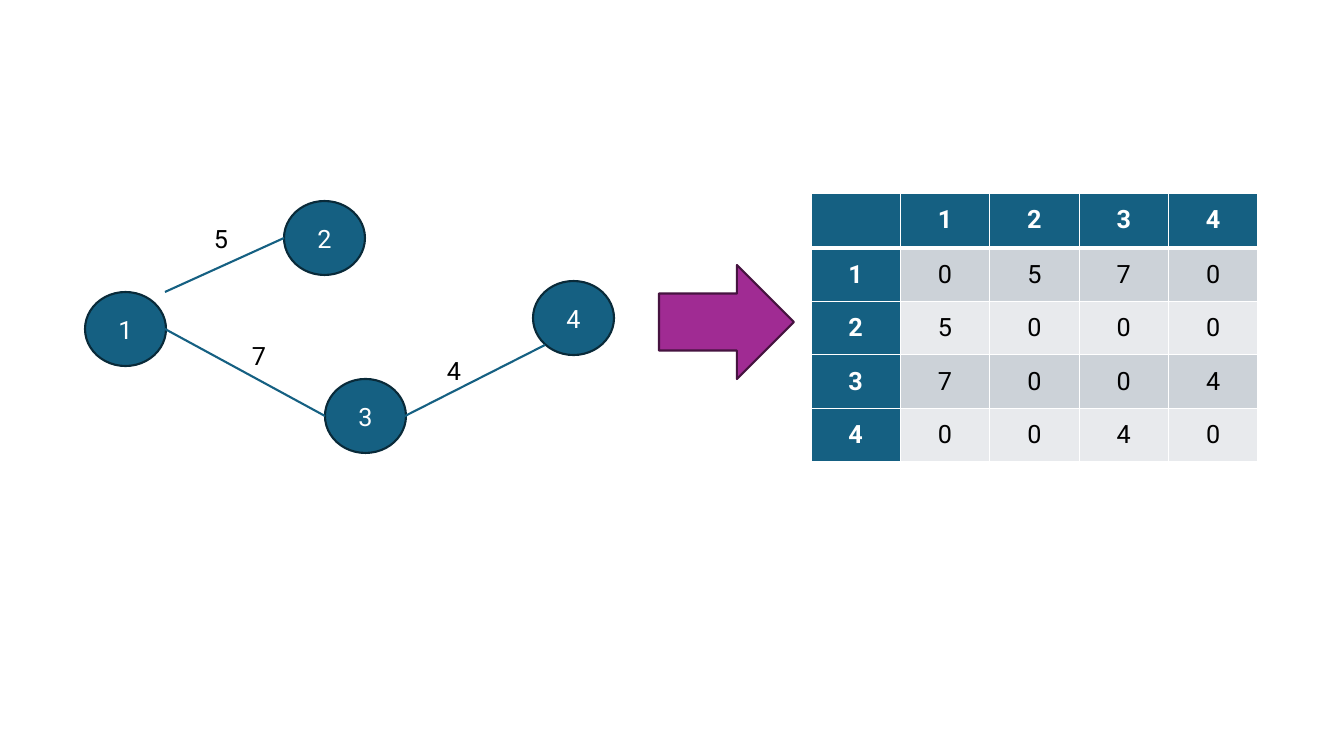
from lxml.etree import SubElement
from pptx import Presentation
from pptx.dml.color import RGBColor
from pptx.enum.shapes import MSO_CONNECTOR, MSO_SHAPE
from pptx.enum.text import MSO_ANCHOR, MSO_AUTO_SIZE, PP_ALIGN
from pptx.oxml import parse_xml
from pptx.oxml.ns import nsdecls, qn
from pptx.util import Pt

NODES = {1: (85, 292), 2: (284, 201), 3: (325, 379), 4: (533, 281)}
NODE_SIZE = (81, 74)
EDGES = [
    {"ends": (1, 2), "weight": 5, "line": (165, 292, 284, 238), "label": (204, 218)},
    {"ends": (1, 3), "weight": 7, "line": (165, 329, 325, 416), "label": (242, 335)},
    {"ends": (3, 4), "weight": 4, "line": (405, 416, 545, 345), "label": (437, 350)},
]
LABEL_SIZE = (34, 40)
ARROW = (659, 265, 135, 114)
TABLE = (811, 193, 447, 267)
FONT = "Roboto"
BLUE, NAVY, PURPLE, PLUM = "156082", "092A39", "A02B93", "461340"
BANDS = ["CCD2D8", "E8EAED"]
WHITE, BLACK = "FFFFFF", "000000"


def px(*values):
    return [round(v * 914400 / 100.8) for v in values]


def color(value):
    return RGBColor.from_string(value)


def write(tf, text, text_color, align=PP_ALIGN.CENTER, bold=False):
    tf.text = text
    p = tf.paragraphs[0]
    p.alignment = align
    for r in p.runs:
        r.font.name = FONT
        r.font.size = Pt(18)
        r.font.bold = bold
        r.font.color.rgb = color(text_color)


def add_shape(s, kind, box, fill, line):
    sp = s.shapes.add_shape(kind, *px(*box))
    sp.shadow.inherit = False
    sp.fill.solid()
    sp.fill.fore_color.rgb = color(fill)
    sp.line.color.rgb = color(line)
    sp.line.width = Pt(1.5)
    return sp


def add_node(s, number, corner):
    sp = add_shape(s, MSO_SHAPE.OVAL, corner + NODE_SIZE, BLUE, NAVY)
    tf = sp.text_frame
    tf.vertical_anchor = MSO_ANCHOR.MIDDLE
    write(tf, str(number), WHITE)


def add_edge(s, edge):
    line = s.shapes.add_connector(MSO_CONNECTOR.STRAIGHT, *px(*edge["line"]))
    line.line.color.rgb = color(BLUE)
    line.line.width = Pt(1.5)
    SubElement(line._element.spPr, qn("a:effectLst"))


def add_weight(s, edge):
    tf = s.shapes.add_textbox(*px(*edge["label"], *LABEL_SIZE)).text_frame
    tf.word_wrap = False
    tf.auto_size = MSO_AUTO_SIZE.SHAPE_TO_FIT_TEXT
    write(tf, str(edge["weight"]), BLACK, PP_ALIGN.LEFT)


def set_borders(cell, row):
    widths = {"L": 1, "R": 1, "T": 3 if row == 1 else 1, "B": 3 if row == 0 else 1}
    tcPr = cell._tc.get_or_add_tcPr()
    for i, (side, width) in enumerate(widths.items()):
        tcPr.insert(i, parse_xml(
            f'<a:ln{side} {nsdecls("a")} w="{Pt(width)}"><a:solidFill>'
            f'<a:srgbClr val="{WHITE}"/></a:solidFill></a:ln{side}>'))


def adjacency_rows():
    weights = {}
    for edge in EDGES:
        a, b = edge["ends"]
        weights[a, b] = weights[b, a] = edge["weight"]
    return [["", *NODES]] + [[a] + [weights.get((a, b), 0) for b in NODES] for a in NODES]


def add_matrix(s):
    rows = adjacency_rows()
    table = s.shapes.add_table(len(rows), len(rows), *px(*TABLE)).table
    table.first_col = True
    for r, values in enumerate(rows):
        for c, value in enumerate(values):
            cell = table.cell(r, c)
            header = r == 0 or c == 0
            cell.margin_left, cell.margin_right = px(10, 10)
            cell.margin_top, cell.margin_bottom = px(12, 12)
            cell.fill.solid()
            cell.fill.fore_color.rgb = color(BLUE if header else BANDS[(r - 1) % 2])
            write(cell.text_frame, str(value), WHITE if header else BLACK, bold=header)
            set_borders(cell, r)


def main():
    prs = Presentation()
    prs.slide_width, prs.slide_height = px(1344, 756)
    s = prs.slides.add_slide(prs.slide_layouts[6])
    for number, corner in NODES.items():
        add_node(s, number, corner)
    for edge in EDGES:
        add_edge(s, edge)
    add_matrix(s)
    add_shape(s, MSO_SHAPE.RIGHT_ARROW, ARROW, PURPLE, PLUM)
    for edge in EDGES:
        add_weight(s, edge)
    prs.save("out.pptx")


if __name__ == "__main__":
    main()
